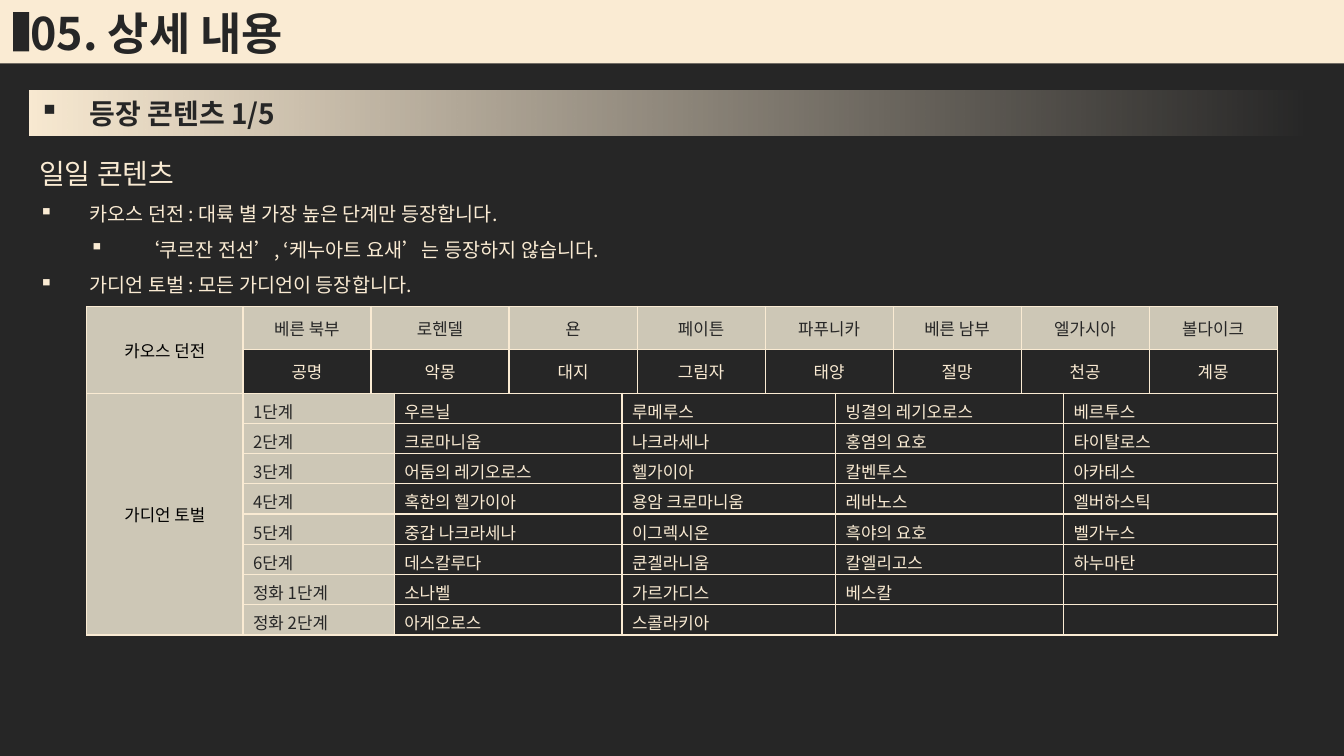
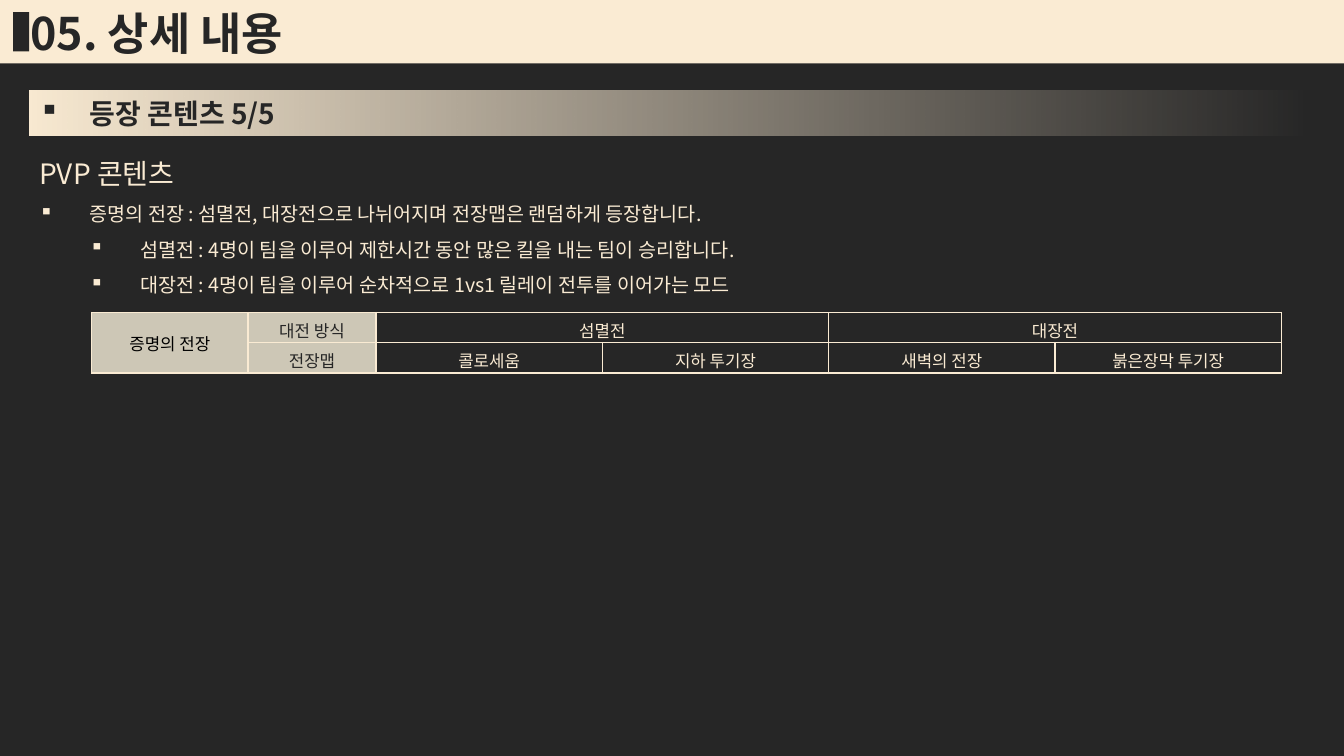
"""Builds two dark slides that list daily and PVP content in tables."""
from itertools import accumulate

from lxml import etree
from pptx import Presentation
from pptx import util as u
from pptx.dml import color
from pptx.enum import shapes, text
from pptx.oxml import ns

FONT = "Noto Sans CJK KR"
CREAM, DARK, TAN, BLACK = "FAEBD3", "262626", "CDC7B6", "000000"
LEFT, CENTER = text.PP_ALIGN.LEFT, text.PP_ALIGN.CENTER
LABEL_WIDTH = 1.55
TALL, LOW = 0.43, 0.3

DUNGEON_WIDTHS = [1.27, 1.37] + [1.27] * 6
GUARDIAN_WIDTHS = [1.5, 2.26, 2.12, 2.26, 2.12]
GUARDIANS = [
    ["1단계", "우르닐", "루메루스", "빙결의 레기오로스", "베르투스"],
    ["2단계", "크로마니움", "나크라세나", "홍염의 요호", "타이탈로스"],
    ["3단계", "어둠의 레기오로스", "헬가이아", "칼벤투스", "아카테스"],
    ["4단계", "혹한의 헬가이아", "용암 크로마니움", "레바노스", "엘버하스틱"],
    ["5단계", "중갑 나크라세나", "이그렉시온", "흑야의 요호", "벨가누스"],
    ["6단계", "데스칼루다", "쿤겔라니움", "칼엘리고스", "하누마탄"],
    ["정화 1단계", "소나벨", "가르가디스", "베스칼", ""],
    ["정화 2단계", "아게오로스", "스콜라키아", "", ""],
]

# Each table row: height, column widths, number of heading cells, alignment, texts
SLIDES = [
    {
        "section": "등장 콘텐츠 1/5",
        "heading": "일일 콘텐츠",
        "bullets": [
            (0, "카오스 던전 : 대륙 별 가장 높은 단계만 등장합니다."),
            (1, "‘쿠르잔 전선’, ‘케누아트 요새’는 등장하지 않습니다."),
            (0, "가디언 토벌 : 모든 가디언이 등장합니다."),
        ],
        "table_at": (0.86, 3.04),
        "groups": [
            ("카오스 던전", [
                (TALL, DUNGEON_WIDTHS, 8, CENTER,
                 ["베른 북부", "로헨델", "욘", "페이튼", "파푸니카", "베른 남부", "엘가시아", "볼다이크"]),
                (TALL, DUNGEON_WIDTHS, 0, CENTER,
                 ["공명", "악몽", "대지", "그림자", "태양", "절망", "천공", "계몽"]),
            ]),
            ("가디언 토벌", [(LOW, GUARDIAN_WIDTHS, 1, LEFT, names) for names in GUARDIANS]),
        ],
    },
    {
        "section": "등장 콘텐츠 5/5",
        "heading": "PVP 콘텐츠",
        "bullets": [
            (0, "증명의 전장 : 섬멸전, 대장전으로 나뉘어지며 전장맵은 랜덤하게 등장합니다."),
            (1, "섬멸전 : 4명이 팀을 이루어 제한시간 동안 많은 킬을 내는 팀이 승리합니다."),
            (1, "대장전 : 4명이 팀을 이루어 순차적으로 1vs1 릴레이 전투를 이어가는 모드"),
        ],
        "table_at": (0.91, 3.1),
        "groups": [
            ("증명의 전장", [
                (LOW, [1.27] + [4.49] * 2, 1, CENTER, ["대전 방식", "섬멸전", "대장전"]),
                (LOW, [1.27] + [4.49 / 2] * 4, 1, CENTER,
                 ["전장맵", "콜로세움", "지하 투기장", "새벽의 전장", "붉은장막 투기장"]),
            ]),
        ],
    },
]


def rgb(value):
    return color.RGBColor.from_string(value)


def write(paragraph, words, size=12, colour=CREAM, bold=False, align=LEFT, spacing=None, level=None):
    paragraph.alignment = align
    if spacing:
        paragraph.line_spacing = spacing
    if level is not None:
        paragraph.level = level
        properties = paragraph._p.get_or_add_pPr()
        properties.set("marL", str(u.Inches(0.5 * (level + 1))))
        properties.set("indent", str(u.Inches(-0.5)))
        etree.SubElement(properties, ns.qn("a:buChar"), char="▪")
    if not words:
        etree.SubElement(paragraph._p, ns.qn("a:endParaRPr"), sz=str(size * 100))
        return
    run = paragraph.add_run()
    run.text = words
    run.font.size = u.Pt(size)
    run.font.name = FONT
    run.font.bold = bold
    run.font.color.rgb = rgb(colour)
    etree.SubElement(run._r.get_or_add_rPr(), ns.qn("a:ea"), typeface=FONT)


presentation = Presentation()
presentation.slide_width = u.Inches(13.33)
presentation.slide_height = u.Inches(7.5)
background = presentation.slide_master.background.fill
background.solid()
background.fore_color.rgb = rgb(DARK)

for content in SLIDES:
    slide = presentation.slides.add_slide(presentation.slide_layouts[6])

    for box, colour in [((0.29, 0.9, 12.75, 0.44), None),
                        ((0, 0, 13.33, 0.63), CREAM),
                        ((0.13, 0.12, 0.16, 0.39), DARK)]:
        band = slide.shapes.add_shape(shapes.MSO_SHAPE.RECTANGLE, *map(u.Inches, box))
        band.shadow.inherit = False
        band.line.fill.background()
        if colour:
            band.fill.solid()
            band.fill.fore_color.rgb = rgb(colour)
        else:
            band.fill.gradient()
            band.fill.gradient_angle = 180
            for stop in band.fill.gradient_stops:
                stop.color.rgb = rgb(CREAM)
            stop_colours = band._element.spPr.iter(ns.qn("a:srgbClr"))
            for stop_colour, opacity in zip(list(stop_colours), ("0", "100000")):
                etree.SubElement(stop_colour, ns.qn("a:alpha"), val=opacity)

    frames = []
    for box, margin, anchor in [((0, 0, 4.37, 0.64), 0.3, text.MSO_ANCHOR.MIDDLE),
                                ((0.29, 0.9, 5.25, 0.44), 0.1, text.MSO_ANCHOR.MIDDLE),
                                ((0.29, 1.34, 12.75, 1.62), 0.1, text.MSO_ANCHOR.TOP)]:
        frame = slide.shapes.add_textbox(*map(u.Inches, box)).text_frame
        frame.word_wrap = True
        frame.auto_size = text.MSO_AUTO_SIZE.SHAPE_TO_FIT_TEXT
        frame.vertical_anchor = anchor
        frame.margin_left = u.Inches(margin)
        frames.append(frame)
    title, section, body = frames
    write(title.paragraphs[0], "05. 상세 내용", size=32, colour=DARK, bold=True)
    write(section.paragraphs[0], content["section"], size=20, colour=DARK, bold=True, level=0)
    write(body.paragraphs[0], content["heading"], size=20, spacing=1.5)
    for level, words in content["bullets"]:
        write(body.add_paragraph(), words, size=14, spacing=1.5, level=level)

    rows = [row for label, group in content["groups"] for row in group]
    row_edges = [[round(edge, 3) for edge in accumulate(row[1], initial=LABEL_WIDTH)] for row in rows]
    edges = sorted({0}.union(*row_edges))
    left, top = content["table_at"]
    table = slide.shapes.add_table(
        len(rows), len(edges) - 1, u.Inches(left), u.Inches(top),
        u.Inches(edges[-1]), u.Inches(sum(row[0] for row in rows))).table
    table.first_row = table.horz_banding = False
    for column, start, end in zip(table.columns, edges, edges[1:]):
        column.width = u.Inches(end - start)

    entries = {}
    row_index = 0
    for label, group in content["groups"]:
        entries[row_index, 0] = (label, BLACK, TAN, CENTER)
        table.cell(row_index, 0).merge(table.cell(row_index + len(group) - 1, 0))
        for height, widths, heads, align, names in group:
            table.rows[row_index].height = u.Inches(height)
            stops = [edges.index(edge) for edge in row_edges[row_index]]
            for position, (name, start, end) in enumerate(zip(names, stops, stops[1:])):
                style = (DARK, TAN) if position < heads else (CREAM, None)
                entries[row_index, start] = (name, *style, align)
                if end - start > 1:
                    table.cell(row_index, start).merge(table.cell(row_index, end - 1))
            row_index += 1

    for row_index, row in enumerate(rows):
        for column_index in range(len(edges) - 1):
            cell = table.cell(row_index, column_index)
            name, colour, fill, align = entries.get((row_index, column_index), ("", CREAM, None, LEFT))
            cell.vertical_anchor = text.MSO_ANCHOR.MIDDLE
            cell.margin_top = u.Inches(0.05)
            cell.margin_bottom = u.Inches(0 if row[0] == LOW and column_index else 0.05)
            write(cell.text_frame.paragraphs[0], name, colour=colour, align=align)
            for side in ("lnL", "lnR", "lnT", "lnB"):
                border = etree.SubElement(cell._tc.get_or_add_tcPr(), ns.qn("a:" + side), w=str(u.Pt(1)))
                paint = etree.SubElement(border, ns.qn("a:solidFill"))
                etree.SubElement(paint, ns.qn("a:srgbClr"), val=CREAM)
            if fill:
                cell.fill.solid()
                cell.fill.fore_color.rgb = rgb(fill)
            else:
                cell.fill.background()

presentation.save("out.pptx")
